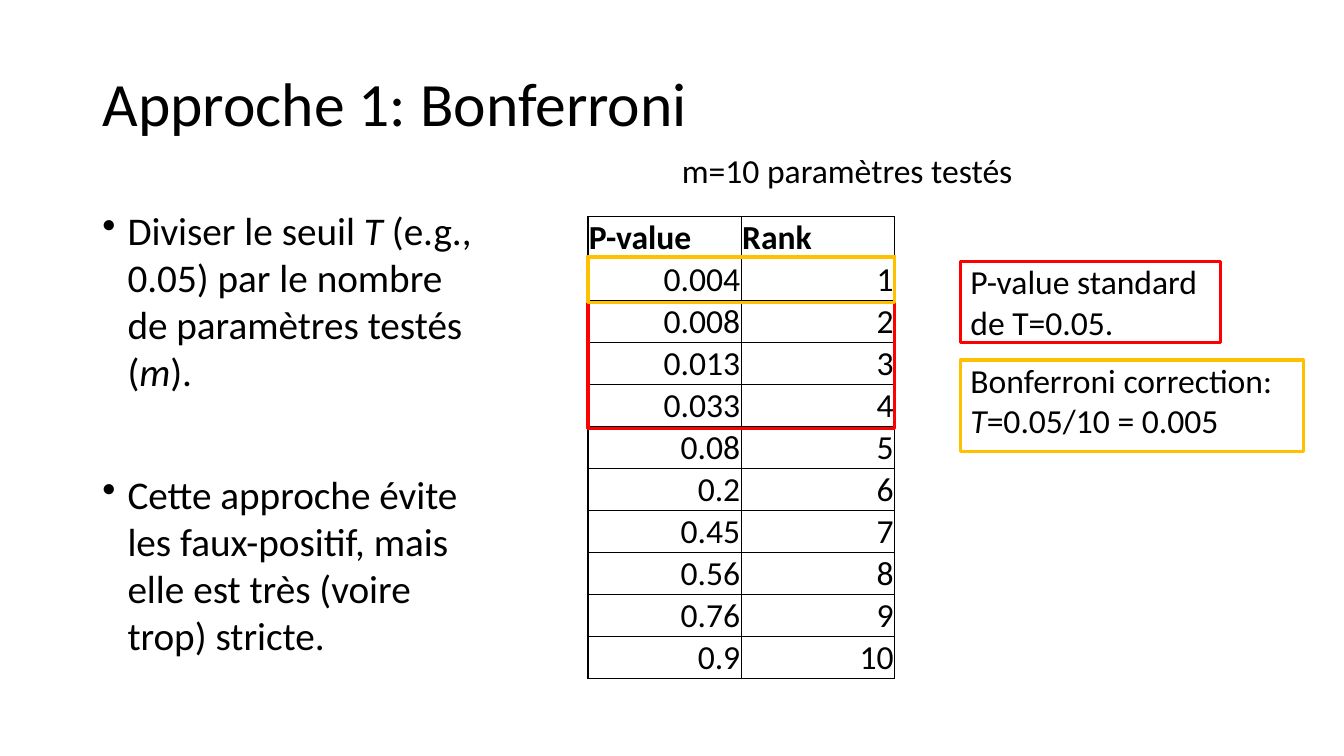
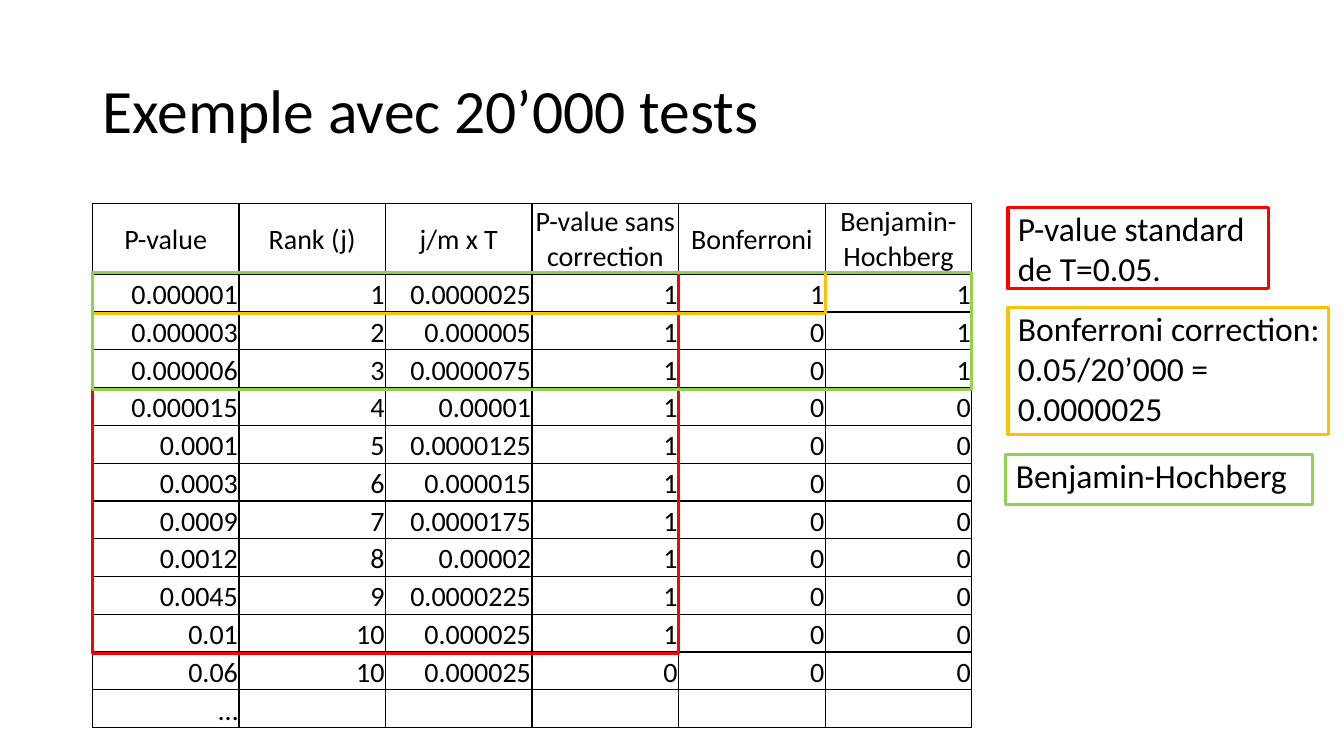
from pptx import Presentation
from pptx.dml.color import RGBColor as RGB
from pptx.enum.shapes import MSO_SHAPE as SHAPE
from pptx.enum.text import MSO_ANCHOR as ANCHOR, MSO_AUTO_SIZE as FIT, PP_ALIGN as ALIGN
from pptx.oxml import parse_xml
from pptx.oxml.ns import nsdecls
from pptx.util import Inches, Pt

BLACK = RGB(0x00, 0x00, 0x00)
RED = RGB(0xFF, 0x00, 0x00)
GOLD = RGB(0xFF, 0xC0, 0x00)
GREEN = RGB(0x92, 0xD0, 0x50)
FONT = "Calibri"
COLS, ROWS = 32, 18  # square grid cells
LEFT = 2.2


class Deck:
    def __init__(self):
        self.prs = Presentation()
        self.prs.slide_width = Inches(13.333)
        self.prs.slide_height = Inches(7.5)
        self.slide = None

    def grid(self, *spans):
        """Turn left, top, width, height in grid cells into lengths."""
        units = (self.prs.slide_width / COLS, self.prs.slide_height / ROWS)
        return [int(span * units[i % 2]) for i, span in enumerate(spans)]

    def style(self, para, size, bold=False, align=ALIGN.LEFT):
        font = para.font
        font.name, font.size, font.bold = FONT, Pt(size), bold
        font.color.rgb = BLACK
        para.alignment = align

    def words(self, para, text, size):
        """Fill a paragraph; words between asterisks are italic."""
        for i, part in enumerate(text.split("*")):
            run = para.add_run()
            run.text = part
            if i % 2:
                run.font.italic = True
        self.style(para, size)

    # Title
    def page(self, title, top):
        self.slide = self.prs.slides.add_slide(self.prs.slide_layouts[5])
        shape = self.slide.shapes.title
        shape.left, shape.top, shape.width, shape.height = self.grid(LEFT, top, 27.6, 3.48)
        frame = shape.text_frame
        frame.text = title
        frame.vertical_anchor = ANCHOR.MIDDLE
        frame.auto_size = FIT.NONE
        para = frame.paragraphs[0]
        self.style(para, 44)
        para.line_spacing = 0.9

    # Plain or bulleted text
    def text(self, lines, box, size, bullet=False, gap=0):
        frame = self.slide.shapes.add_textbox(*self.grid(*box)).text_frame
        frame.word_wrap = True
        for i, line in enumerate(lines):
            para = frame.add_paragraph() if i else frame.paragraphs[0]
            self.words(para, line, size)
            if i:
                para.space_before = Pt(gap)
            if bullet:
                props = para._p.get_or_add_pPr()
                props.set("marL", str(Inches(0.25)))
                props.set("indent", str(-Inches(0.25)))
                mark = parse_xml(f'<a:buChar {nsdecls("a")} char="•"/>')
                props.insert_element_before(mark, "a:tabLst", "a:defRPr", "a:extLst")

    # Outlined box, empty or with a label
    def frame(self, box, color, label=""):
        shape = self.slide.shapes.add_shape(SHAPE.RECTANGLE, *self.grid(*box))
        shape.shadow.inherit = False
        shape.fill.background()
        shape.line.color.rgb = color
        shape.line.width = Pt(2.25)
        if label:
            body = shape.text_frame
            body.word_wrap = True
            body.vertical_anchor = ANCHOR.TOP
            body.margin_top = body.margin_bottom = body.margin_right = 0
            self.words(body.paragraphs[0], label, 24)

    # Ruled table, with outlines around rows below the header
    def table(self, data, spot, wide, high, head, size, marks, center=False):
        count, across = len(data), len(data[0])
        full = head + high * (count - 1)
        table = self.slide.shapes.add_table(
            count, across, *self.grid(*spot, wide * across, full)).table
        table.first_row = table.horz_banding = False
        for col in table.columns:
            col.width = self.grid(wide)[0]
        for r, row in enumerate(data):
            table.rows[r].height = self.grid(0, head if r == 0 else high)[1]
            for c, value in enumerate(row):
                top = r == 0
                align = ALIGN.RIGHT
                if top:
                    align = ALIGN.CENTER if center else ALIGN.LEFT
                cell = table.cell(r, c)
                self.rule(cell)
                cell.text = value
                cell.vertical_anchor = ANCHOR.MIDDLE if top and center else ANCHOR.BOTTOM
                self.style(cell.text_frame.paragraphs[0], size, top and not center, align)
        left, top = spot
        pad = 0.04
        for rows, cols, color in marks:
            self.frame((left, top + head - pad, wide * cols, high * rows + 2 * pad), color)

    def rule(self, cell):
        cell.margin_left = cell.margin_right = cell.margin_top = Inches(0.01)
        cell.margin_bottom = 0
        props = cell._tc.get_or_add_tcPr()
        for side in "LRTB":
            props.append(parse_xml(
                f'<a:ln{side} {nsdecls("a")} w="{Pt(1)}"><a:solidFill>'
                f'<a:srgbClr val="{BLACK}"/></a:solidFill></a:ln{side}>'))
        cell.fill.background()


def main():
    deck = Deck()

    # Bonferroni
    deck.page("Approche 1: Bonferroni", 0.8)
    deck.text(
        ["Diviser le seuil *T* (e.g., 0.05) par le nombre de paramètres testés (*m*).",
         "Cette approche évite les faux-positif, mais elle est très (voire trop) stricte."],
        (LEFT, 4.8, 9.48, 13.03), 28, bullet=True, gap=54)
    values = "0.004 0.008 0.013 0.033 0.08 0.2 0.45 0.56 0.76 0.9".split()
    ranks = [(value, str(i)) for i, value in enumerate(values, 1)]
    deck.table([("P-value", "Rank")] + ranks, (14, 5.16), 3.65, 1, 1, 24,
               [(4, 2, RED), (1, 2, GOLD)])
    deck.text(["m=10 paramètres testés"], (16, 3.46, 10.4, 1.2), 24)
    deck.frame((22.87, 6.22, 6.2, 1.94), RED, "P-value standard de T=0.05.")
    deck.frame((22.87, 8.57, 8.16, 2.18), GOLD, "Bonferroni correction: *T*=0.05/10 = 0.005")

    # Twenty thousand tests
    deck.page("Exemple avec 20’000 tests", 0.96)
    head = ("P-value", "Rank (j)", "j/m x T", "P-value sans correction",
            "Bonferroni", "Benjamin-Hochberg")
    tests = [
        ("0.000001", "1", "0.0000025", "1", "1", "1"),
        ("0.000003", "2", "0.000005", "1", "0", "1"),
        ("0.000006", "3", "0.0000075", "1", "0", "1"),
        ("0.000015", "4", "0.00001", "1", "0", "0"),
        ("0.0001", "5", "0.0000125", "1", "0", "0"),
        ("0.0003", "6", "0.000015", "1", "0", "0"),
        ("0.0009", "7", "0.0000175", "1", "0", "0"),
        ("0.0012", "8", "0.00002", "1", "0", "0"),
        ("0.0045", "9", "0.0000225", "1", "0", "0"),
        ("0.01", "10", "0.000025", "1", "0", "0"),
        ("0.06", "10", "0.000025", "0", "0", "0"),
        ("…", "", "", "", "", ""),
    ]
    deck.table([head] + tests, (LEFT, 4.85), 3.49, 0.9, 1.68, 20,
               [(10, 4, RED), (1, 5, GOLD), (3, 6, GREEN)], center=True)
    deck.frame((24, 4.94, 6.2, 1.94), RED, "P-value standard de T=0.05.")
    deck.frame((24, 7.32, 7.63, 3.02), GOLD, "Bonferroni correction: 0.05/20’000 = 0.0000025")
    deck.frame((23.95, 10.82, 7.3, 1.2), GREEN, "Benjamin-Hochberg")

    deck.prs.save("out.pptx")


if __name__ == "__main__":
    main()
